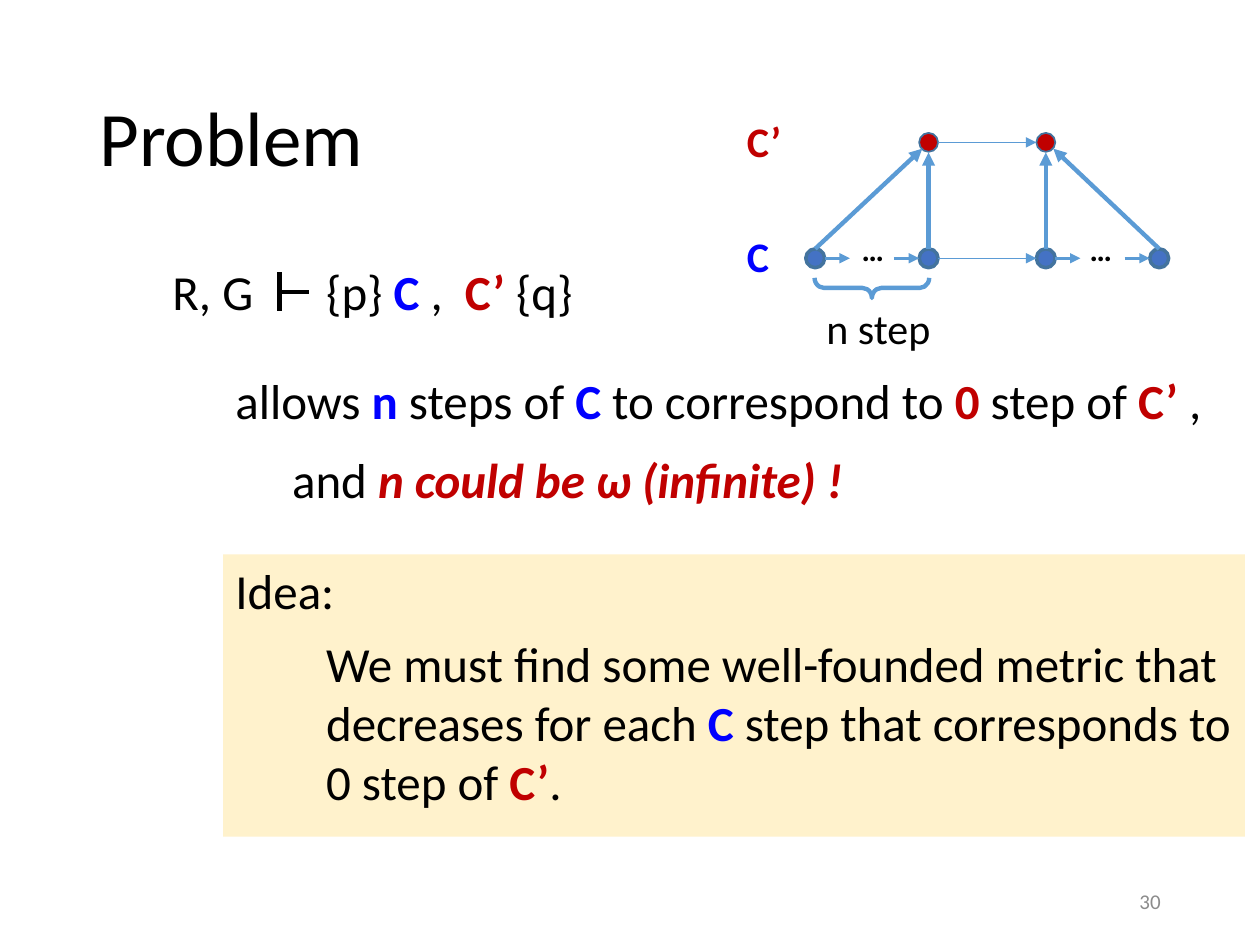
import pptx
import pptx.util
import pptx.dml.color
import pptx.enum.shapes
import pptx.enum.text
import pptx.oxml.ns
import lxml.etree

Inches = pptx.util.Inches
Pt = pptx.util.Pt
RGBColor = pptx.dml.color.RGBColor
SHAPE = pptx.enum.shapes.MSO_SHAPE
ALIGN = pptx.enum.text.PP_ALIGN
ANCHOR = pptx.enum.text.MSO_ANCHOR
qn = pptx.oxml.ns.qn

BLACK = RGBColor(0x00, 0x00, 0x00)
GRAY = RGBColor(0x8C, 0x8C, 0x8C)
BLUE = RGBColor(0x00, 0x00, 0xFF)
RED = RGBColor(0xC0, 0x00, 0x00)
CREAM = RGBColor(0xFF, 0xF2, 0xCC)
NODE_BLUE = RGBColor(0x44, 0x72, 0xC4)
NODE_EDGE = RGBColor(0x43, 0x73, 0x9E)
ARROW_BLUE = RGBColor(0x5B, 0x9B, 0xD5)

# Run formats
PLAIN = {"bold": False, "color": BLACK}
SOURCE = {"bold": True, "color": BLUE}
TARGET = {"bold": True, "color": RED}
STRESS = {"bold": True, "italic": True, "color": RED}
DOTS = {"bold": True, "color": BLACK}
FAINT = {"color": GRAY}


class SlideBuilder:
    font_name = "Calibri"

    def __init__(self, slide):
        self.slide = slide

    def text(self, left, top, width, height, runs, size=28, wrap=True,
             anchor=ANCHOR.TOP, **paragraph_format):
        box = self.slide.shapes.add_textbox(
            Inches(left), Inches(top), Inches(width), Inches(height))
        frame = box.text_frame
        frame.word_wrap = wrap
        frame.vertical_anchor = anchor
        paragraph = frame.paragraphs[0]
        for name, value in paragraph_format.items():
            setattr(paragraph, name, value)
        for words, style in runs:
            run = paragraph.add_run()
            run.text = words
            values = {"name": self.font_name, "size": Pt(size), **style}
            run.font.color.rgb = values.pop("color")
            for name, value in values.items():
                setattr(run.font, name, value)

    def shape(self, kind, left, top, width, height, fill=None, edge=None, weight=1):
        shape = self.slide.shapes.add_shape(
            kind, Inches(left), Inches(top), Inches(width), Inches(height))
        shape.shadow.inherit = False
        if fill is None:
            shape.fill.background()
        else:
            shape.fill.solid()
            shape.fill.fore_color.rgb = fill
        if edge is None:
            shape.line.fill.background()
        else:
            shape.line.color.rgb = edge
            shape.line.width = Pt(weight)
        return shape

    def node(self, x, y, fill, weight):
        self.shape(SHAPE.OVAL, x - RADIUS, y - RADIUS, 2 * RADIUS, 2 * RADIUS,
                   fill, NODE_EDGE, weight)

    def line(self, start, end, color, weight):
        line = self.slide.shapes.add_connector(
            pptx.enum.shapes.MSO_CONNECTOR.STRAIGHT,
            *(Inches(value) for value in (*start, *end)))
        line.line.color.rgb = color
        line.line.width = Pt(weight)
        lxml.etree.SubElement(line._element.spPr, qn("a:effectLst"))
        return line

    def arrow(self, start, end, weight):
        line = self.line(start, end, ARROW_BLUE, weight)
        lxml.etree.SubElement(line.line._get_or_add_ln(), qn("a:tailEnd"), type="triangle")


deck = pptx.Presentation()
deck.slide_width, deck.slide_height = Inches(10), Inches(7.5)
page = SlideBuilder(deck.slides.add_slide(deck.slide_layouts[6]))

# Idea panel, title and slide number
page.shape(SHAPE.RECTANGLE, 1.77, 4.4, 8.11, 2.24, CREAM)
page.text(0.69, 0.4, 8.62, 1.45, [("Problem", PLAIN)], 44,
          anchor=ANCHOR.MIDDLE, line_spacing=0.9)
page.text(7.06, 6.95, 2.25, 0.4, [("30", FAINT)], 12,
          anchor=ANCHOR.MIDDLE, alignment=ALIGN.RIGHT)

# Judgment with its turnstile
page.text(2.49, 2.03, 2.56, 0.57, [
    ("{p} ", PLAIN), ("C ", SOURCE), (",  ", PLAIN), ("C’ ", TARGET), ("{q}", PLAIN)])
page.line((2.22, 2.16), (2.22, 2.47), BLACK, 2.5)
page.line((2.22, 2.32), (2.45, 2.32), BLACK, 2.5)
page.text(1.27, 2.03, 0.99, 0.57, [("R, G", PLAIN)])

# Statement of the problem
page.text(1.77, 2.89, 7.92, 0.57, [
    ("allows ", PLAIN), ("n", SOURCE), (" steps of ", PLAIN), ("C ", SOURCE),
    ("to correspond to ", PLAIN), ("0", TARGET), (" step of ", PLAIN),
    ("C’ ", TARGET), (",", PLAIN)])
page.text(2.22, 3.52, 4.74, 0.57, [
    ("and ", PLAIN), ("n could be ω (infinite) !", STRESS)])

# Idea
page.text(1.77, 4.4, 1.52, 0.57, [("Idea:", PLAIN)])
page.text(2.49, 4.98, 7.39, 1.51, [
    ("We must find some well-founded metric that decreases for each ", PLAIN),
    ("C", SOURCE), (" step that corresponds to 0 step of ", PLAIN),
    ("C’", TARGET), (".", PLAIN)])

# Simulation diagram: nodes
RADIUS = 0.075
TARGET_Y, SOURCE_Y = 1.13, 2.05
first, second, third, last = 6.47, 7.37, 8.3, 9.2
for x in (second, third):
    page.node(x, TARGET_Y, RED, 1)
for x in (first, second, third, last):
    page.node(x, SOURCE_Y, NODE_BLUE, 2)

# Steps along each row
for y in (TARGET_Y, SOURCE_Y):
    page.arrow((second + RADIUS, y), (third - RADIUS, y), 0.5)
for start, end, dots_left in ((first, second, 6.74), (third, last, 8.55)):
    page.arrow((start + RADIUS, SOURCE_Y), (start + RADIUS + 0.2, SOURCE_Y), 1.5)
    page.text(dots_left, 1.78, 0.34, 0.4, [("…", DOTS)], 18)
    page.arrow((end - RADIUS - 0.2, SOURCE_Y), (end - RADIUS, SOURCE_Y), 1.5)

# Correspondence from C up to C’
for x, tip in ((first, (7.32, 1.18)), (second, (second, 1.21)),
               (third, (third, 1.21)), (last, (8.36, 1.18))):
    page.arrow((x, SOURCE_Y - RADIUS), tip, 2.5)

# Brace and labels
brace = page.shape(SHAPE.LEFT_BRACE, 6.84, 1.83, 0.16, 0.91, None, ARROW_BLUE, 2.5)
brace.rotation = 270
brace.adjustments[0] = 0.47
page.text(6.46, 2.35, 1.11, 0.5, [("n step", PLAIN)], 24, wrap=False)
page.text(5.83, 1.78, 0.38, 0.5, [("C", SOURCE)], 24)
page.text(5.83, 0.87, 0.57, 0.5, [("C’", TARGET)], 24)

deck.save("out.pptx")
